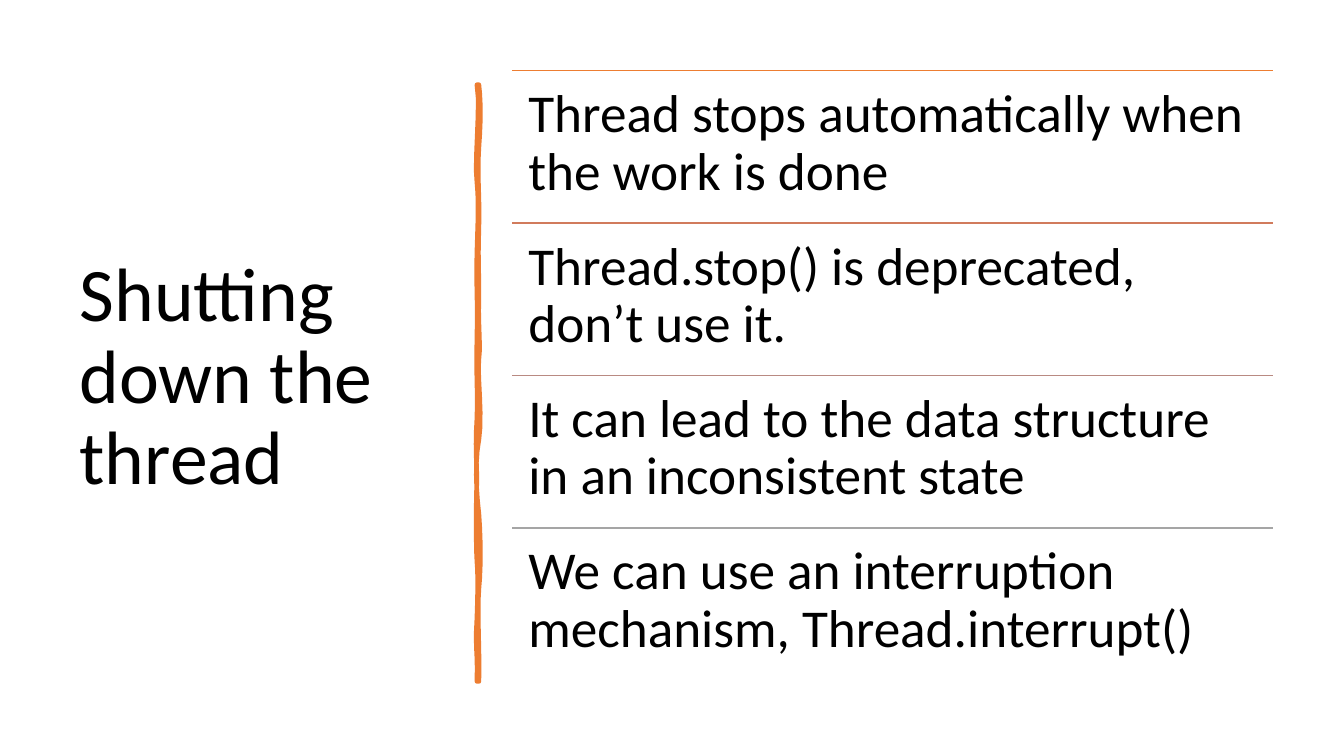
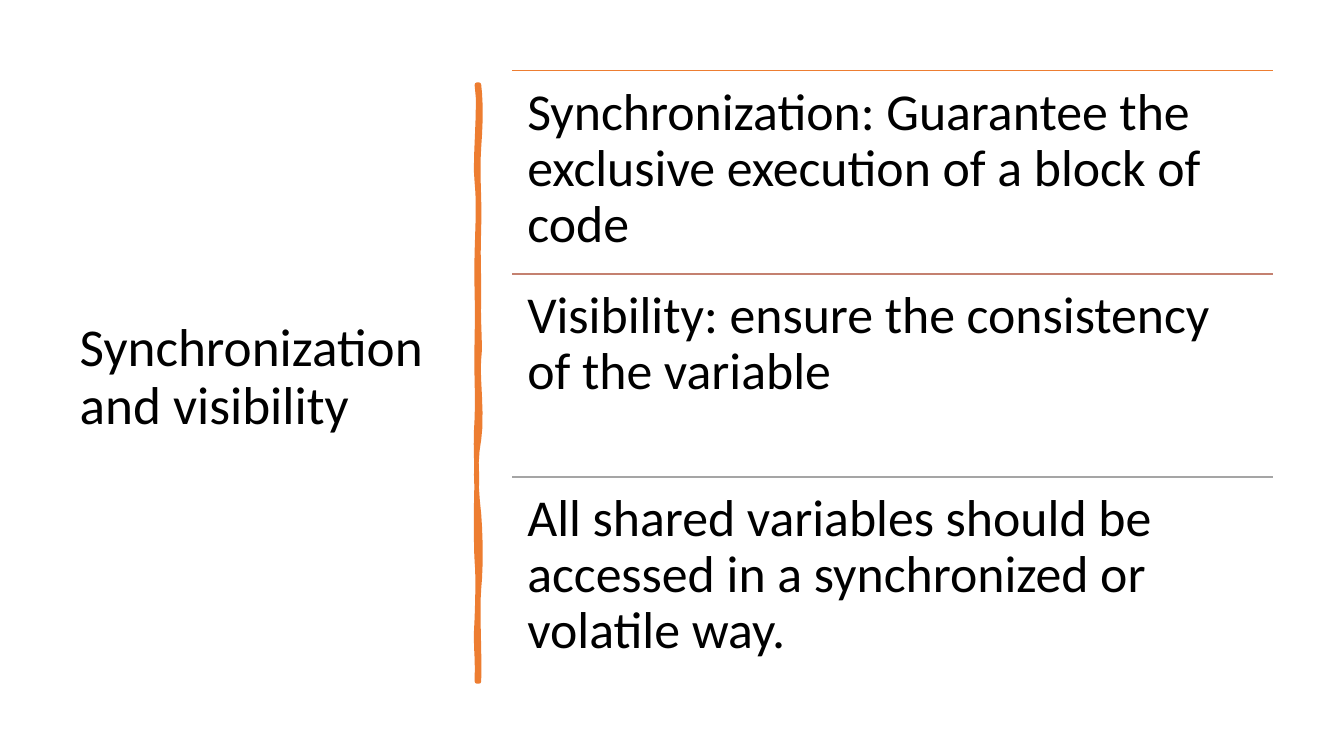
from lxml import etree
from pptx import Presentation
from pptx.dml.color import RGBColor
from pptx.enum.shapes import MSO_CONNECTOR
from pptx.enum.text import MSO_ANCHOR, MSO_AUTO_SIZE, PP_ALIGN
from pptx.oxml.ns import qn
from pptx.util import Inches, Pt

# Shared look
FONT = "Calibri"
BLACK, ORANGE, GREY = "000000", "ED7D31", "A5A5A5"
TITLE_BOX = (0.69, 0.7, 3.74, 6.11)
LIST_LEFT, LIST_TOP, LIST_WIDTH, LIST_HEIGHT = 5.08, 0.7, 7.55, 6.05

# Hand-drawn bar: start point, then curves as two control points and an end
BAR_START = (4.75, 0.84)
BAR_CURVES = [
    ((4.77, 1.02), (4.77, 1.19), (4.75, 1.46)),
    ((4.73, 1.73), (4.76, 1.95), (4.75, 2.26)),
    ((4.74, 2.57), (4.75, 2.62), (4.75, 2.94)),
    ((4.74, 3.25), (4.77, 3.42), (4.75, 3.56)),
    ((4.73, 3.7), (4.79, 4.14), (4.75, 4.36)),
    ((4.71, 4.57), (4.72, 4.84), (4.75, 5.1)),
    ((4.77, 5.36), (4.77, 5.64), (4.75, 5.84)),
    ((4.73, 6.03), (4.76, 6.5), (4.75, 6.76)),
    ((4.74, 6.76), (4.73, 6.76), (4.73, 6.76)),
    ((4.74, 6.46), (4.71, 6.44), (4.73, 6.13)),
    ((4.74, 5.83), (4.74, 5.7), (4.73, 5.57)),
    ((4.72, 5.44), (4.72, 4.95), (4.73, 4.77)),
    ((4.73, 4.59), (4.71, 4.45), (4.73, 4.15)),
    ((4.74, 3.86), (4.72, 3.73), (4.73, 3.35)),
    ((4.74, 2.98), (4.72, 2.81), (4.73, 2.5)),
    ((4.74, 2.18), (4.75, 2), (4.73, 1.81)),
    ((4.7, 1.63), (4.77, 1.04), (4.73, 0.84)),
]

# Slide content: each row is a rule colour and its text
SLIDES = [
    dict(title="Shutting down the thread", title_size=54,
         row_size=38, inset=0.16, rows=[
             (ORANGE, "Thread stops automatically when the work is done"),
             ("D17B5C", "Thread.stop() is deprecated, don’t use it."),
             ("B98A82", "It can lead to the data structure in an inconsistent state"),
             (GREY, "We can use an interruption mechanism, Thread.interrupt()"),
         ]),
    dict(title="Synchronization and visibility", title_size=38,
         row_size=37, inset=0.15, rows=[
             (ORANGE, "Synchronization: Guarantee the exclusive execution of a block of code"),
             ("C48170", "Visibility: ensure the consistency of the variable"),
             (GREY, "All shared variables should be accessed in a synchronized or volatile way."),
         ]),
]


def color(hex_value):
    return RGBColor.from_string(hex_value)


def add_text(tf, text, size, anchor):
    tf.word_wrap = True
    tf.auto_size = MSO_AUTO_SIZE.NONE
    tf.vertical_anchor = anchor
    p = tf.paragraphs[0]
    p.alignment = PP_ALIGN.LEFT
    p.line_spacing = 0.9
    r = p.add_run()
    r.text = text
    r.font.name = FONT
    r.font.size = Pt(size)
    r.font.color.rgb = color(BLACK)


def add_title(s, text, size):
    sp = s.shapes.title
    sp.left, sp.top, sp.width, sp.height = map(Inches, TITLE_BOX)
    add_text(sp.text_frame, text, size, MSO_ANCHOR.MIDDLE)


def curve_points(start, c1, c2, end, steps=6):
    """Points along a cubic curve, without its start."""
    for i in range(1, steps + 1):
        t = i / steps
        u = 1 - t
        yield tuple(Inches(u**3 * a + 3 * u * u * t * b + 3 * u * t * t * c + t**3 * d)
                    for a, b, c, d in zip(start, c1, c2, end))


def add_bar(s):
    points, start = [], BAR_START
    for c1, c2, end in BAR_CURVES:
        points.extend(curve_points(start, c1, c2, end))
        start = end
    builder = s.shapes.build_freeform(*map(Inches, BAR_START))
    builder.add_line_segments(points, close=True)
    sp = builder.convert_to_shape()
    sp.shadow.inherit = False
    sp.fill.solid()
    sp.fill.fore_color.rgb = color(ORANGE)
    sp.line.color.rgb = color(ORANGE)
    sp.line.width = Pt(3.25)
    etree.SubElement(sp.line._get_or_add_ln(), qn("a:round"))


def add_rule(s, top, line_color):
    line = s.shapes.add_connector(
        MSO_CONNECTOR.STRAIGHT, Inches(LIST_LEFT), Inches(top),
        Inches(LIST_LEFT + LIST_WIDTH), Inches(top))
    line.line.color.rgb = color(line_color)
    line.line.width = Pt(1)
    etree.SubElement(line._element.spPr, qn("a:effectLst"))


def add_rows(s, rows, size, inset):
    height = LIST_HEIGHT / len(rows)
    for i, (line_color, text) in enumerate(rows):
        top = LIST_TOP + i * height
        add_rule(s, top, line_color)
        sp = s.shapes.add_textbox(Inches(LIST_LEFT), Inches(top),
                                  Inches(LIST_WIDTH), Inches(height))
        tf = sp.text_frame
        tf.margin_left = tf.margin_right = Inches(inset)
        tf.margin_top = tf.margin_bottom = Inches(inset)
        add_text(tf, text, size, MSO_ANCHOR.TOP)


def main():
    prs = Presentation()
    prs.slide_width, prs.slide_height = Inches(13.33), Inches(7.5)
    title_only = prs.slide_layouts[5]
    for content in SLIDES:
        s = prs.slides.add_slide(title_only)
        add_title(s, content["title"], content["title_size"])
        add_bar(s)
        add_rows(s, content["rows"], content["row_size"], content["inset"])
    prs.save("out.pptx")


if __name__ == "__main__":
    main()
